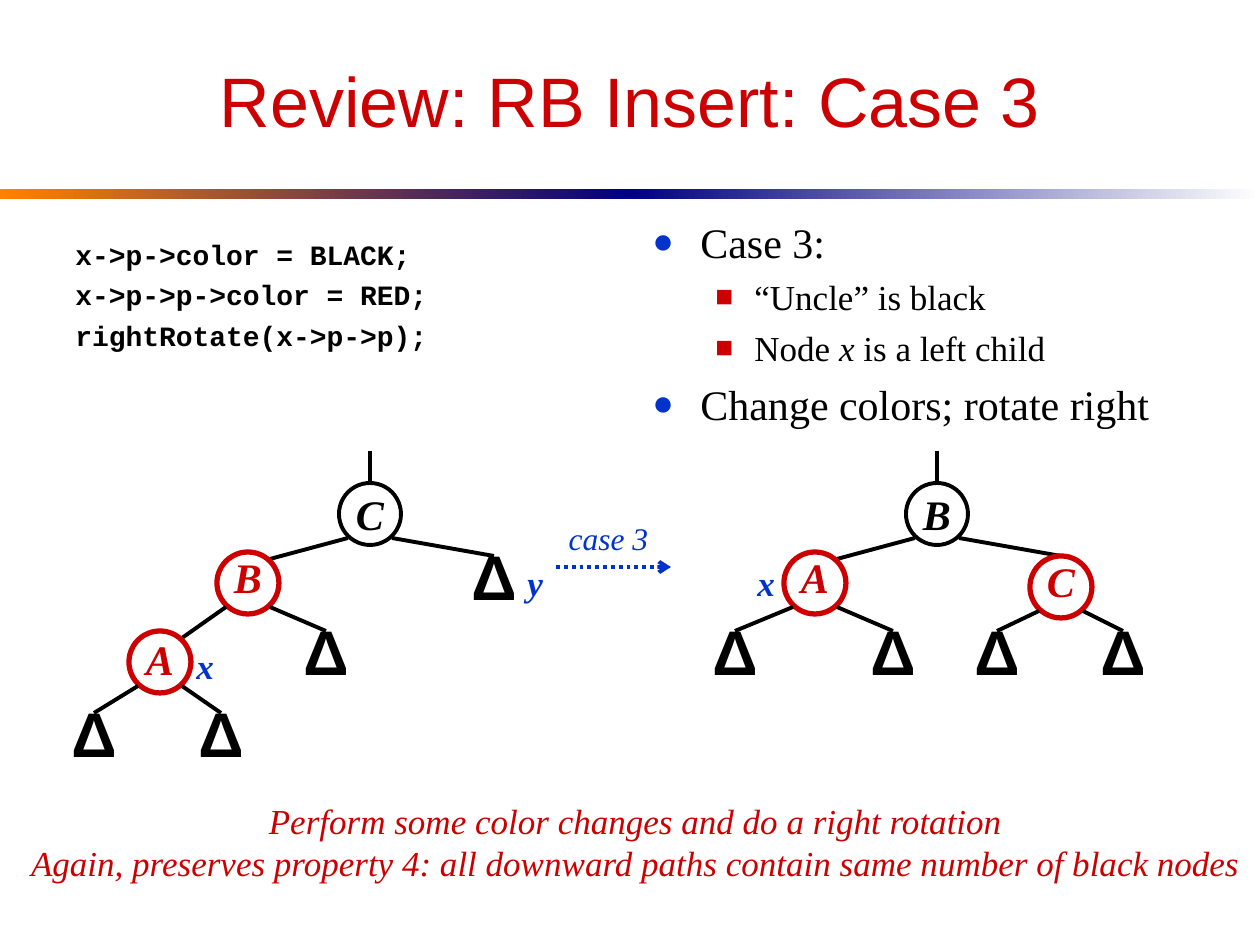
from lxml.etree import SubElement
from pptx import Presentation
from pptx.dml.color import RGBColor
from pptx.enum.dml import MSO_LINE
from pptx.enum.shapes import MSO_CONNECTOR, MSO_SHAPE
from pptx.enum.text import MSO_ANCHOR, PP_ALIGN
from pptx.oxml.ns import qn
from pptx.util import Pt

PX = 914400 / 126
BLACK, RED, BLUE, WHITE = "000000", "CC0000", "0033CC", "FFFFFF"
SERIF, SANS, MONO = "Times New Roman", "Arial", "Courier New"
NODE, EDGE = 62, 22
LEAF = "Δ"
BULLETS = [("●", BLUE, 24, 6, 48, 48), ("■", RED, 20, 5, 102, 39)]


def emu(*vals):
    """Turn px into EMU."""
    return [round(v * PX) for v in vals]


def rgb(code):
    """Return the colour for a hex string."""
    return RGBColor.from_string(code)


def add_run(para, text, size, color, face=SERIF, bold=False, italic=False):
    """Add one formatted run to a paragraph."""
    run = para.add_run()
    run.text = text
    font = run.font
    font.size, font.name, font.bold, font.italic = Pt(size), face, bold, italic
    font.color.rgb = rgb(color)


def add_box(slide, box, wrap=True, anchor=MSO_ANCHOR.TOP):
    """Add a text box and return its frame."""
    frame = slide.shapes.add_textbox(*emu(*box)).text_frame
    frame.word_wrap, frame.vertical_anchor = wrap, anchor
    return frame


def next_para(frame, index):
    """Return the first paragraph, or a new one after it."""
    return frame.add_paragraph() if index else frame.paragraphs[0]


def add_note(slide, box, lines, size, color, bold=False):
    """Add centred italic lines in a box."""
    frame = add_box(slide, box, False, MSO_ANCHOR.MIDDLE)
    for i, line in enumerate(lines):
        para = next_para(frame, i)
        para.alignment = PP_ALIGN.CENTER
        add_run(para, line, size, color, bold=bold, italic=True)


def add_line(slide, start, end, color=BLACK):
    """Add a straight line and return it."""
    line = slide.shapes.add_connector(MSO_CONNECTOR.STRAIGHT, *emu(*start, *end))
    line.line.width = Pt(2.25)
    line.line.color.rgb = rgb(color)
    SubElement(line._element.spPr, qn("a:effectLst"))
    return line


def add_arrow(slide, box, text):
    """Add a dotted arrow along the foot of the box, with its label above."""
    x, y, w, h = box
    line = add_line(slide, (x, y + h), (x + w, y + h), BLUE)
    line.line.dash_style = MSO_LINE.ROUND_DOT
    SubElement(line.line._get_or_add_ln(), qn("a:tailEnd"), type="arrow")
    add_note(slide, (x, y, 105, 50), [text], 18, BLUE)


def add_title(slide, box, text):
    """Place and format the title."""
    title = slide.shapes.title
    title.left, title.top, title.width, title.height = emu(*box)
    frame = title.text_frame
    frame.vertical_anchor = MSO_ANCHOR.MIDDLE
    para = frame.paragraphs[0]
    para.alignment = PP_ALIGN.CENTER
    add_run(para, text, 40, RED, SANS)


def add_band(slide, box):
    """Add the two halves of the gradient rule."""
    x, y, w, h = box
    half = w // 2
    for i, ends in enumerate([("FF8200", "000082"), ("000082", WHITE)]):
        bar = slide.shapes.add_shape(
            MSO_SHAPE.RECTANGLE, *emu(x + i * half, y, half, h))
        bar.shadow.inherit = False
        bar.line.fill.background()
        bar.fill.gradient()
        bar.fill.gradient_angle = 0
        for stop, code in zip(bar.fill.gradient_stops, ends):
            stop.color.rgb = rgb(code)


def add_code(slide, box, lines):
    """Add lines of code."""
    frame = add_box(slide, box)
    for i, line in enumerate(lines):
        para = next_para(frame, i)
        para.space_before = Pt(4)
        add_run(para, line, 16, BLACK, MONO, bold=True)


def add_list(slide, box, items):
    """Add a two-level bullet list."""
    frame = add_box(slide, box)
    for i, (level, runs) in enumerate(items):
        mark, color, size, gap, left, hang = BULLETS[level]
        para = next_para(frame, i)
        para.level, para.space_before = level, Pt(gap)
        props = para._p.get_or_add_pPr()
        left, hang = emu(left, hang)
        props.set("marL", str(left))
        props.set("indent", str(-hang))
        SubElement(SubElement(props, qn("a:buClr")), qn("a:srgbClr"), val=color)
        SubElement(props, qn("a:buSzPct"), val="85000")
        SubElement(props, qn("a:buFont"), typeface=SERIF)
        SubElement(props, qn("a:buChar"), char=mark)
        for text, italic in runs:
            add_run(para, text, size, BLACK, italic=italic)


def add_node(slide, x, y, label, color, pitch):
    """Add a tree node centred on a point."""
    half = NODE // 2
    node = slide.shapes.add_shape(
        MSO_SHAPE.OVAL, *emu(x - half, y - half, NODE, NODE))
    node.shadow.inherit = False
    leaf = label == LEAF
    if leaf:
        node.fill.background()
        node.line.fill.background()
    else:
        node.fill.solid()
        node.fill.fore_color.rgb = rgb(WHITE)
        node.line.color.rgb = rgb(color)
        node.line.width = Pt(3 if color == RED else 2.25)
    frame = node.text_frame
    frame.word_wrap, frame.vertical_anchor = False, MSO_ANCHOR.MIDDLE
    para = frame.paragraphs[0]
    para.alignment, para.line_spacing = PP_ALIGN.CENTER, pitch
    add_run(para, label, 36 if leaf else 24, color, SANS if leaf else SERIF,
            bold=True, italic=not leaf)


def add_tree(slide, x, y, tree):
    """Add a node at a point, then its edges and subtrees."""
    label, color, pitch, kids = tree
    add_node(slide, x, y, label, color, pitch)
    for dx, dy, kid in kids:
        side = EDGE if dx > 0 else -EDGE
        end = (x + dx, y + dy - NODE // 2)
        if dx < 0 and kid[0] != LEAF:
            end = (x + dx + EDGE, y + dy - EDGE - 2)
        add_line(slide, (x + side, y + EDGE + 2), end)
        add_tree(slide, x + dx, y + dy, kid)


def add_root(slide, x, y, tree):
    """Add a stem from a point down to a tree."""
    add_line(slide, (x, y), (x, y + 32))
    add_tree(slide, x, y + 63, tree)


def main():
    """Build the slide."""
    deck = Presentation()
    deck.slide_width, deck.slide_height = emu(1260, 945)
    slide = deck.slides.add_slide(deck.slide_layouts[5])
    add_band(slide, (0, 189, 1260, 10))
    add_title(slide, (63, 32, 1134, 136), "Review: RB Insert: Case 3")
    add_code(slide, (63, 231, 557, 231), [
        "x->p->color = BLACK;", "x->p->p->color = RED;", "rightRotate(x->p->p);"])
    add_list(slide, (640, 210, 557, 242), [
        (0, [("Case 3:", False)]),
        (1, [("“Uncle” is black", False)]),
        (1, [("Node ", False), ("x", True), (" is a left child", False)]),
        (0, [("Change colors; rotate right", False)])])

    leaf = (LEAF, BLACK, 0.6, [])
    low = ("A", RED, 0.9, [(-66, 82, leaf), (61, 82, leaf)])
    mid = ("B", RED, 0.7, [(-88, 79, low), (78, 79, leaf)])
    add_root(slide, 370, 451, ("C", BLACK, 1, [(-122, 69, mid), (124, 73, leaf)]))
    left = ("A", RED, 0.7, [(-80, 79, leaf), (78, 79, leaf)])
    right = ("C", RED, 0.7, [(-64, 75, leaf), (62, 75, leaf)])
    add_root(slide, 937, 451, ("B", BLACK, 1, [(-122, 69, left), (124, 73, right)]))

    for x, y, name in [(184, 637, "x"), (514, 554, "y"), (745, 554, "x")]:
        add_note(slide, (x, y, 42, 56), [name], 20, BLUE, bold=True)
    add_arrow(slide, (556, 513, 115, 54), "case 3")
    add_note(slide, (17, 793, 1237, 98), [
        "Perform some color changes and do a right rotation",
        "Again, preserves property 4: all downward paths contain same number"
        " of black nodes"], 20, RED)
    deck.save("out.pptx")


if __name__ == "__main__":
    main()
